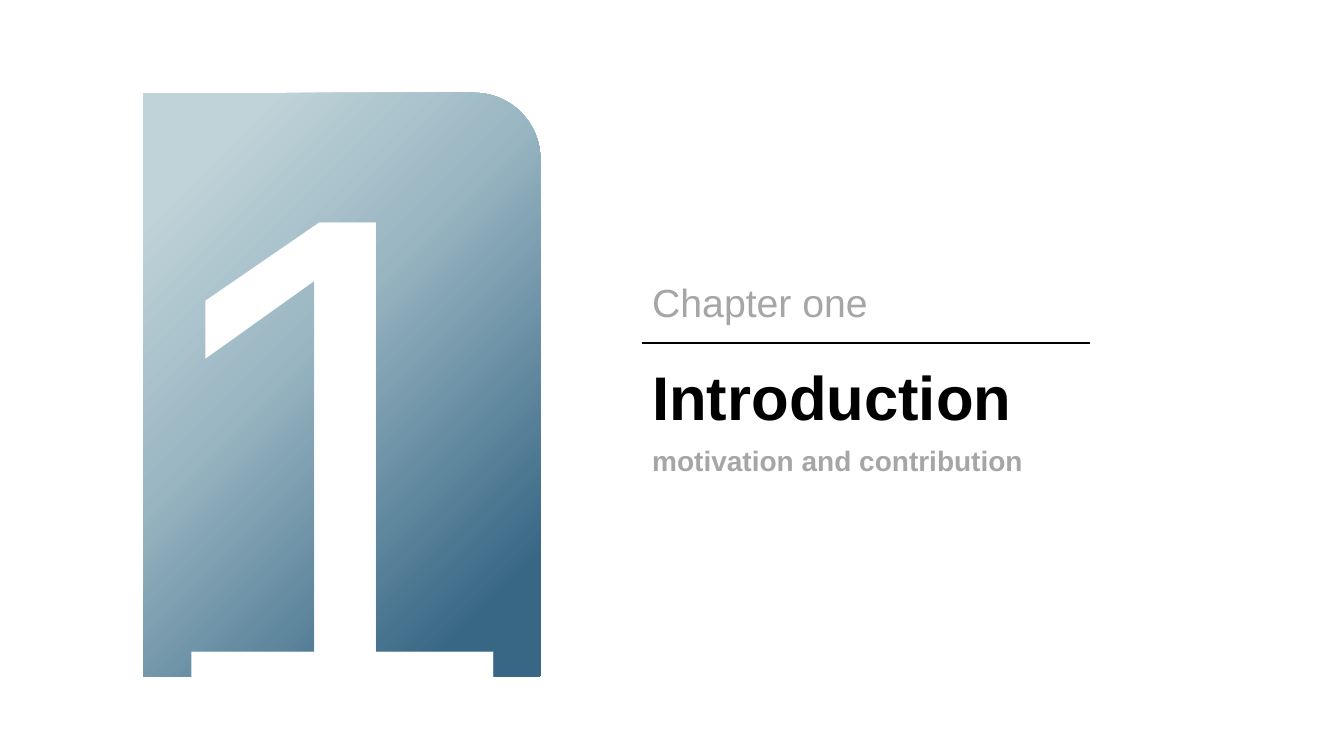
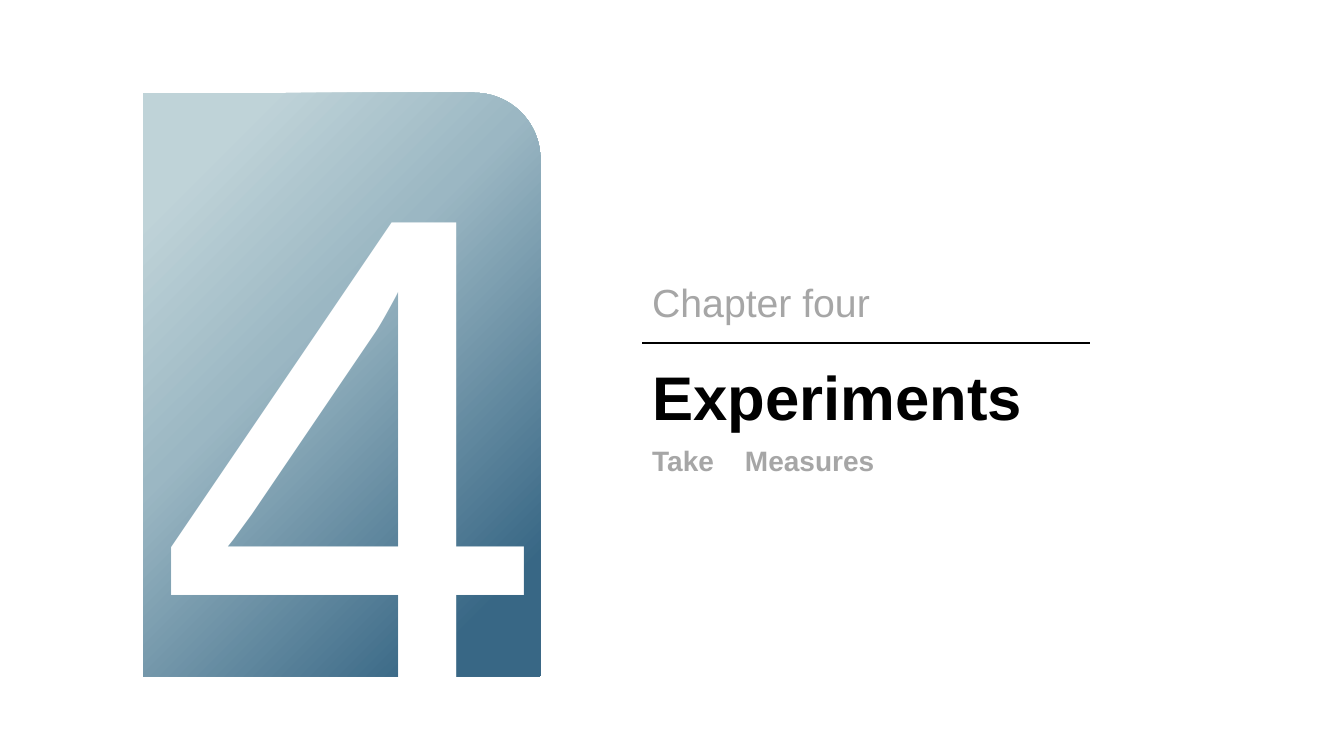
from dataclasses import dataclass

from pptx import Presentation
from pptx.dml.color import RGBColor
from pptx.enum.shapes import MSO_CONNECTOR, MSO_SHAPE
from pptx.enum.text import MSO_ANCHOR, MSO_AUTO_SIZE, PP_ALIGN
from pptx.oxml import parse_xml
from pptx.oxml.ns import nsdecls, qn
from pptx.oxml.xmlchemy import OxmlElement
from pptx.util import Inches, Pt


@dataclass(frozen=True)
class TextStyle:
    size: int
    color: str
    bold: bool = False
    align: PP_ALIGN = PP_ALIGN.JUSTIFY


@dataclass(frozen=True)
class Theme:
    font: str = "Arial"
    rule: str = "000000"
    gradient: tuple = ((12, "386785"), (59, "9BB7C3"), (87, "BFD3D8"))
    number: TextStyle = TextStyle(500, "FFFFFF", align=PP_ALIGN.CENTER)
    chapter: TextStyle = TextStyle(28, "A6A6A6")
    title: TextStyle = TextStyle(44, "000000", bold=True)
    subtitle: TextStyle = TextStyle(20, "A6A6A6", bold=True)


@dataclass(frozen=True)
class Chapter:
    number: str
    number_left: float
    label: str
    title: str
    subtitle: str


THEME = Theme()
TEXT_LEFT, TEXT_WIDTH = 6.37, 4.44
RULE_TOP = 3.4
SUBTITLE_TAB = 0.92
CHAPTERS = (
    Chapter("1", 1.26, "Chapter one", "Introduction", "motivation and contribution"),
    Chapter("4", 1.42, "Chapter four", "Experiments", "Take\tMeasures"),
)


def place(sp, left: float, top: float, width: float, height: float) -> None:
    box = {"left": left, "top": top, "width": width, "height": height}
    for name, value in box.items():
        setattr(sp, name, Inches(value))


def write(sp, text: str, style: TextStyle, wrap: bool = True) -> None:
    tf = sp.text_frame
    frame = {"word_wrap": wrap, "auto_size": MSO_AUTO_SIZE.SHAPE_TO_FIT_TEXT,
             "vertical_anchor": MSO_ANCHOR.TOP}
    for name, value in frame.items():
        setattr(tf, name, value)
    p = tf.paragraphs[0]
    p.alignment = style.align
    if "\t" in text:
        add_tab_stop(p, SUBTITLE_TAB)
    r = p.add_run()
    r.text = text
    font = {"name": THEME.font, "size": Pt(style.size), "bold": style.bold}
    for name, value in font.items():
        setattr(r.font, name, value)
    r.font.color.rgb = RGBColor.from_string(style.color)


def add_tab_stop(p, position: float) -> None:
    tabs, tab = OxmlElement("a:tabLst"), OxmlElement("a:tab")
    tab.set("pos", str(Inches(position)))
    tab.set("algn", "l")
    tabs.append(tab)
    p._p.get_or_add_pPr().append(tabs)


def add_text(s, text: str, style: TextStyle, left: float, top: float,
             width: float, height: float, wrap: bool = True) -> None:
    sp = s.shapes.add_textbox(*map(Inches, (left, top, width, height)))
    write(sp, text, style, wrap)


def add_panel(s) -> None:
    sp = s.shapes.add_shape(MSO_SHAPE.ROUND_1_RECTANGLE,
                            *map(Inches, (1.42, 0.92, 3.94, 5.79)))
    sp.shadow.inherit = False
    sp.line.fill.background()
    sp.fill.background()
    # Gradient spreading from the lower right corner
    stops = "".join(f'<a:gs pos="{pos * 1000}"><a:srgbClr val="{color}"/></a:gs>'
                    for pos, color in THEME.gradient)
    gradient = parse_xml(
        f'<a:gradFill {nsdecls("a")} rotWithShape="1"><a:gsLst>{stops}</a:gsLst>'
        '<a:path path="circle"><a:fillToRect l="100000" t="100000"/></a:path>'
        '<a:tileRect r="-100000" b="-100000"/></a:gradFill>')
    props = sp._element.spPr
    props.replace(props.find(qn("a:noFill")), gradient)


def add_rule(s) -> None:
    line = s.shapes.add_connector(
        MSO_CONNECTOR.STRAIGHT, Inches(TEXT_LEFT), Inches(RULE_TOP),
        Inches(TEXT_LEFT + TEXT_WIDTH), Inches(RULE_TOP))
    line.line.width = Pt(1.5)
    line.line.color.rgb = RGBColor.from_string(THEME.rule)
    line._element.spPr.append(OxmlElement("a:effectLst"))


def add_chapter(prs, chapter: Chapter) -> None:
    s = prs.slides.add_slide(prs.slide_layouts[5])
    # Number panel
    add_panel(s)
    add_text(s, chapter.number, THEME.number,
             chapter.number_left, 0, 4.1, 8.52, wrap=False)
    # Chapter heading
    add_text(s, chapter.label, THEME.chapter, TEXT_LEFT, 2.71, TEXT_WIDTH, 0.57)
    add_rule(s)
    place(s.shapes.title, TEXT_LEFT, 3.51, TEXT_WIDTH, 0.84)
    write(s.shapes.title, chapter.title, THEME.title)
    add_text(s, chapter.subtitle, THEME.subtitle, TEXT_LEFT, 4.35, TEXT_WIDTH, 0.44)


def main() -> None:
    prs = Presentation()
    prs.slide_width, prs.slide_height = Inches(13.33), Inches(7.5)
    for chapter in CHAPTERS:
        add_chapter(prs, chapter)
    prs.save("out.pptx")


if __name__ == "__main__":
    main()
